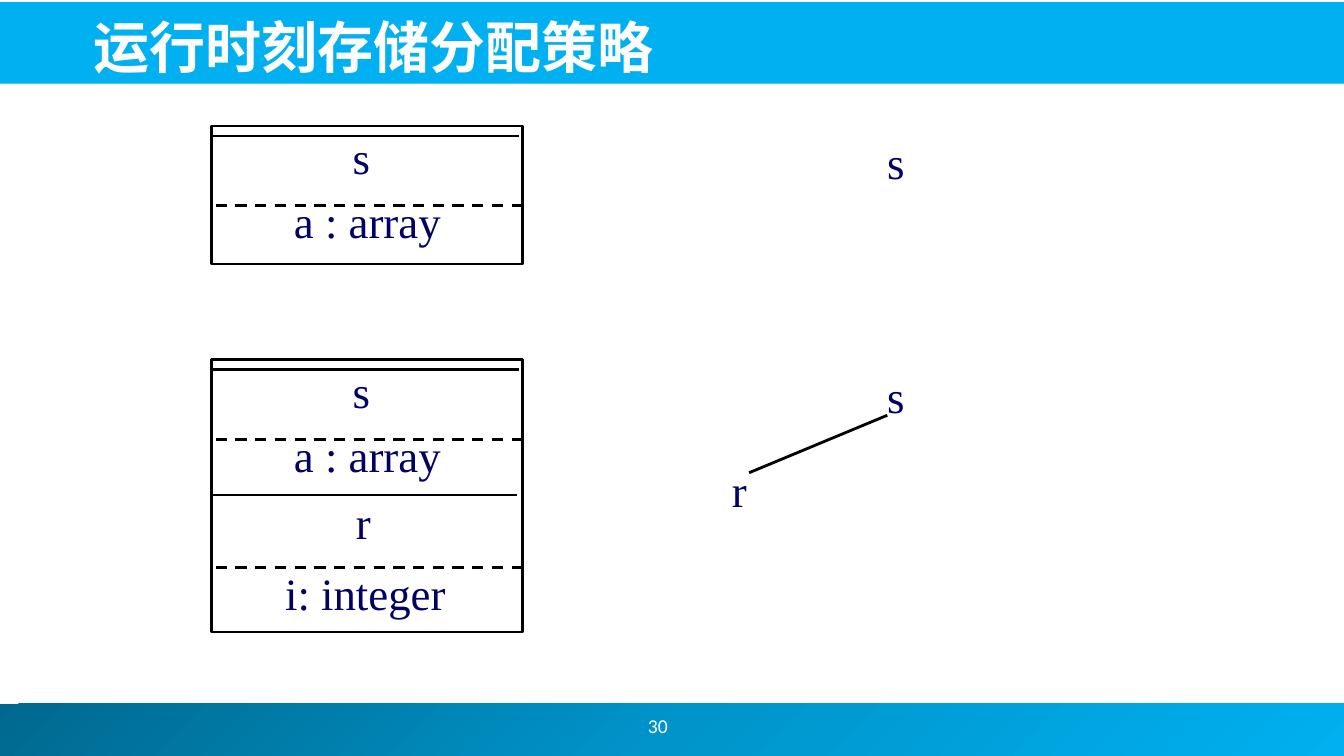
import copy

import pptx
import pptx.dml.color
import pptx.enum.dml
import pptx.enum.shapes
import pptx.enum.text
import pptx.oxml
import pptx.oxml.ns
import pptx.util

Inches = pptx.util.Inches
Pt = pptx.util.Pt
RGBColor = pptx.dml.color.RGBColor
ALIGN = pptx.enum.text.PP_ALIGN
ANCHOR = pptx.enum.text.MSO_ANCHOR
qn = pptx.oxml.ns.qn

BLACK = RGBColor(0x00, 0x00, 0x00)
WHITE = RGBColor(0xFF, 0xFF, 0xFF)
NAVY = RGBColor(0x00, 0x00, 0x66)
SKY = RGBColor(0x00, 0xB0, 0xF0)
BLUE = RGBColor(0x00, 0x94, 0xCA)
DEEP = RGBColor(0x00, 0x68, 0x8E)
SERIF = "Times New Roman"
CJK = "Noto Sans CJK JP"


def add_rect(shapes, *box):
    rect = shapes.add_shape(
        pptx.enum.shapes.MSO_SHAPE.RECTANGLE, *map(Inches, box))
    rect.shadow.inherit = False
    return rect


def add_band(shapes, *box):
    band = add_rect(shapes, *box)
    band.line.fill.background()
    band.fill.solid()
    band.fill.fore_color.rgb = SKY
    return band


def shade(band):
    """Fill the band with a diagonal gradient of three stops."""
    fill = band.fill
    fill.gradient()
    fill.gradient_angle = 315
    first = next(band.element.iter(qn("a:gs")))
    first.addnext(copy.deepcopy(first))
    for stop, place, color in zip(
            fill.gradient_stops, (0, 0.5, 1), (DEEP, BLUE, SKY)):
        stop.position = place
        stop.color.rgb = color


def add_frame(shapes, *box):
    frame = add_rect(shapes, *box)
    frame.fill.background()
    frame.line.color.rgb = BLACK
    frame.line.width = Pt(2)


def add_rule(shapes, x1, y1, x2, y2, dash=False):
    rule = shapes.add_connector(
        pptx.enum.shapes.MSO_CONNECTOR.STRAIGHT,
        *map(Inches, (x1, y1, x2, y2)))
    rule.line.color.rgb = BLACK
    rule.line.width = Pt(2)
    if dash:
        rule.line.dash_style = pptx.enum.dml.MSO_LINE.DASH
    rule.element.spPr.append(pptx.oxml.parse_xml(
        f"<a:effectLst {pptx.oxml.ns.nsdecls('a')}/>"))


def add_text(shapes, text, box, size, face, color, align,
             anchor=ANCHOR.TOP, inset=0.05):
    area = shapes.add_textbox(*map(Inches, box))
    frame = area.text_frame
    frame.word_wrap = True
    frame.vertical_anchor = anchor
    frame.margin_top = Inches(inset)
    line = frame.paragraphs[0]
    line.text = text
    line.alignment = align
    line.font.size = Pt(size)
    line.font.name = face
    line.font.color.rgb = color
    return area


def add_title(shapes, text):
    title = add_text(shapes, text, (0.83, 0.05, 11.81, 0.79), 40, CJK,
                     WHITE, ALIGN.LEFT, ANCHOR.BOTTOM)
    title.text_frame.paragraphs[0].font.bold = True
    latin = next(title.element.iter(qn("a:latin")))
    east = pptx.oxml.parse_xml(
        f'<a:ea {pptx.oxml.ns.nsdecls("a")} typeface="{CJK}"/>')
    latin.addnext(east)


def add_cell(shapes, text, left, top):
    add_text(shapes, text, (left, top, 2.93, 0.77), 32, SERIF, NAVY,
             ALIGN.CENTER, inset=0.09)


def add_node(shapes, text, left, top):
    add_text(shapes, text, (left, top, 0.72, 0.67), 32, SERIF, NAVY,
             ALIGN.JUSTIFY)


def add_stack(shapes, top, height):
    """Draw a stack holding the record of s, and the tree root s beside it."""
    add_frame(shapes, 2.1, top, 3.08, height)
    add_rule(shapes, 2.1, top + 0.1, 5.15, top + 0.1)
    add_cell(shapes, "s", 2.12, top - 0.05)
    add_rule(shapes, 2.14, top + 0.79, 5.17, top + 0.79, dash=True)
    add_cell(shapes, "a : array", 2.18, top + 0.58)
    add_node(shapes, "s", 8.7, top + 0.04)


def add_call(shapes):
    """Add the record of r to the lower stack, and r to its tree."""
    add_rule(shapes, 2.09, 4.91, 5.13, 4.91)
    add_cell(shapes, "r", 2.14, 4.82)
    add_rule(shapes, 2.14, 5.63, 5.17, 5.63, dash=True)
    add_cell(shapes, "i: integer", 2.16, 5.52)
    add_node(shapes, "r", 7.16, 4.54)
    add_rule(shapes, 8.8, 4.12, 7.43, 4.69)


def main():
    deck = pptx.Presentation()
    deck.slide_width = Inches(13.33)
    deck.slide_height = Inches(7.5)
    shapes = deck.slides.add_slide(deck.slide_layouts[6]).shapes

    shade(add_band(shapes, -0.05, 6.98, 13.39, 0.52))
    add_band(shapes, -0.02, 0.02, 13.36, 0.81)
    add_title(shapes, "运行时刻存储分配策略")
    add_text(shapes, "30", (5.08, 6.95, 2.89, 0.5), 14, "Calibri", WHITE,
             ALIGN.CENTER, ANCHOR.MIDDLE)

    add_stack(shapes.add_group_shape().shapes, 1.25, 1.37)
    lower = shapes.add_group_shape().shapes
    add_stack(lower, 3.57, 2.7)
    add_call(lower)
    deck.save("out.pptx")


if __name__ == "__main__":
    main()
